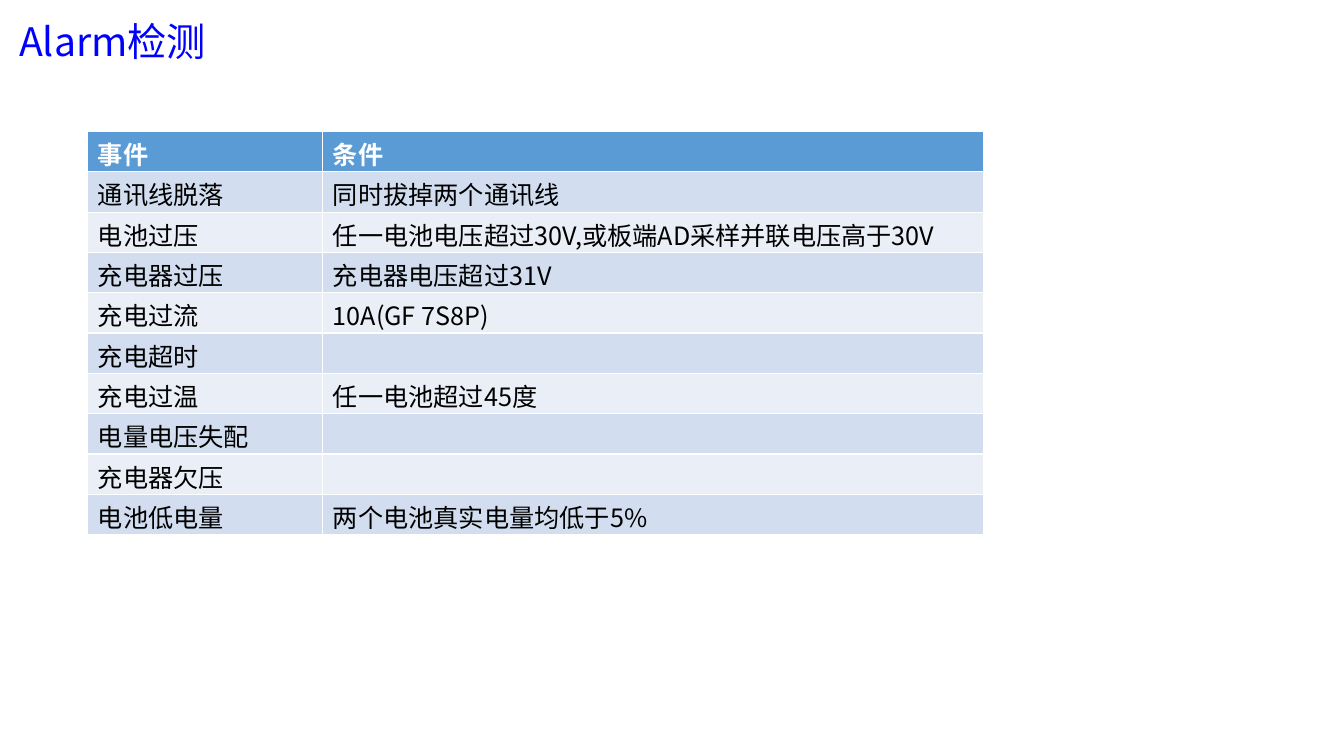
from dataclasses import dataclass

from lxml.etree import SubElement
from pptx import Presentation
from pptx.dml.color import RGBColor
from pptx.enum.text import MSO_ANCHOR, PP_ALIGN
from pptx.oxml.ns import qn
from pptx.util import Pt

TITLE = "Alarm检测"
ALARM_ROWS = [
    ("事件", "条件"),
    ("通讯线脱落", "同时拔掉两个通讯线"),
    ("电池过压", "任一电池电压超过30V,或板端AD采样并联电压高于30V"),
    ("充电器过压", "充电器电压超过31V"),
    ("充电过流", "10A(GF 7S8P)"),
    ("充电超时", ""),
    ("充电过温", "任一电池超过45度"),
    ("电量电压失配", ""),
    ("充电器欠压", ""),
    ("电池低电量", "两个电池真实电量均低于5%"),
]
COLUMN_WIDTHS = (167.8, 472.3)
ROW_HEIGHT = 28.8
TABLE_LEFT, TABLE_TOP = 62.8, 93.9


@dataclass(frozen=True)
class Theme:
    """Colours, font and type sizes of the slide."""
    font: str = "Noto Sans CJK SC"
    title_size: int = 28
    table_size: int = 18
    title: str = "0000FF"
    header_text: str = "FFFFFF"
    body_text: str = "000000"
    header_fill: str = "5B9BD5"
    band_fills: tuple = ("D2DEEF", "EAEFF7")


THEME = Theme()


def format_runs(paragraph, size, color, bold=False):
    """Apply one font, size and colour to every run of a paragraph."""
    for run in paragraph.runs:
        run.font.name = THEME.font
        run.font.size = Pt(size)
        run.font.bold = bold
        run.font.color.rgb = RGBColor.from_string(color)
        east_asian = SubElement(run.font._element, qn("a:ea"))
        east_asian.set("typeface", THEME.font)


def add_title(slide):
    """Move, fill and format the title placeholder."""
    title = slide.shapes.title
    title.left, title.top, title.width, title.height = map(Pt, (6.5, 8.6, 294.5, 41))
    text_frame = title.text_frame
    text_frame.text = TITLE
    text_frame.word_wrap = True
    text_frame.vertical_anchor = MSO_ANCHOR.MIDDLE
    text_frame.paragraphs[0].alignment = PP_ALIGN.LEFT
    format_runs(text_frame.paragraphs[0], THEME.title_size, THEME.title)


def add_alarm_table(slide):
    """Add the table of alarm events and their conditions."""
    table = slide.shapes.add_table(
        len(ALARM_ROWS), len(COLUMN_WIDTHS), Pt(TABLE_LEFT), Pt(TABLE_TOP),
        Pt(sum(COLUMN_WIDTHS)), Pt(ROW_HEIGHT * len(ALARM_ROWS))).table
    for column, width in zip(table.columns, COLUMN_WIDTHS):
        column.width = Pt(width)
    for row_index, texts in enumerate(ALARM_ROWS):
        table.rows[row_index].height = Pt(ROW_HEIGHT)
        is_header = row_index == 0
        fill = THEME.header_fill if is_header else THEME.band_fills[(row_index - 1) % 2]
        color = THEME.header_text if is_header else THEME.body_text
        for column_index, text in enumerate(texts):
            cell = table.cell(row_index, column_index)
            cell.fill.solid()
            cell.fill.fore_color.rgb = RGBColor.from_string(fill)
            cell.margin_top, cell.margin_bottom = Pt(2.7), Pt(0)
            cell.text_frame.text = text
            format_runs(cell.text_frame.paragraphs[0], THEME.table_size, color, is_header)


def main():
    """Build the slide and save it."""
    presentation = Presentation()
    presentation.slide_width, presentation.slide_height = Pt(960), Pt(540)
    slide = presentation.slides.add_slide(presentation.slide_layouts[5])
    add_title(slide)
    add_alarm_table(slide)
    presentation.save("out.pptx")


main()
